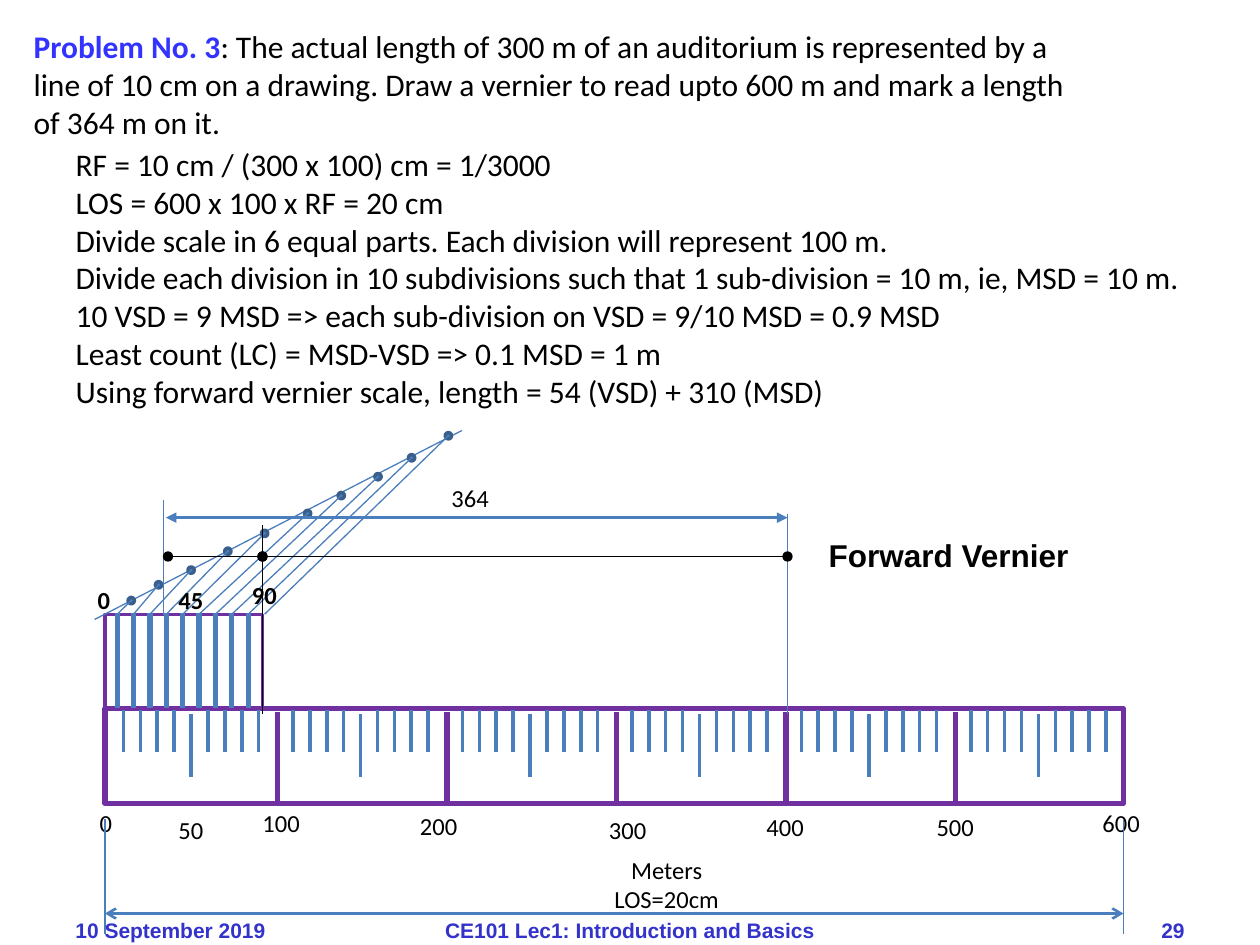
from lxml import etree
from pptx import Presentation
from pptx.dml.color import RGBColor
from pptx.enum.shapes import MSO_CONNECTOR, MSO_SHAPE
from pptx.enum.text import MSO_ANCHOR, MSO_AUTO_SIZE, PP_ALIGN
from pptx.oxml.ns import qn
from pptx.util import Inches, Pt

LEFT, CENTER, RIGHT = PP_ALIGN.LEFT, PP_ALIGN.CENTER, PP_ALIGN.RIGHT
TOP, MIDDLE = MSO_ANCHOR.TOP, MSO_ANCHOR.MIDDLE
RECT, OVAL = MSO_SHAPE.RECTANGLE, MSO_SHAPE.OVAL
STRAIGHT = MSO_CONNECTOR.STRAIGHT
BLUE, PURPLE, BLACK = "4B7EBC", "7030A0", "000000"

# Grid of 120 columns by 90 rows; the main scale runs from column 10 to 107
COLS, ROWS = 120, 90
SCALE_L, SCALE_R, SCALE_T, SCALE_H = 10, 107, 67.5, 9
VERNIER_R, VERNIER_T = 25, 58.5
DIVISION, SUBDIVISION = 16.14, 1.61
DOTS = [(12.5, 57.2), (15.1, 55.7), (18.2, 54.3), (21.7, 52.5), (25.2, 50.8),
        (29.3, 48.9), (32.5, 47.2), (36, 45.4), (39.2, 43.6), (42.7, 41.5)]
SOLUTION = [
    "RF = 10 cm / (300 x 100) cm = 1/3000",
    "LOS = 600 x 100 x RF = 20 cm",
    "Divide scale in 6 equal parts. Each division will represent 100 m.",
    "Divide each division in 10 subdivisions such that 1 sub-division = 10 m, ie, MSD = 10 m.",
    "10 VSD = 9 MSD => each sub-division on VSD = 9/10 MSD = 0.9 MSD",
    "Least count (LC) = MSD-VSD => 0.1 MSD = 1 m",
    "Using forward vernier scale, length = 54 (VSD) + 310 (MSD)",
]


def color(value):
    return RGBColor.from_string(value)


def grid(*units):
    return [Inches(u * 10 / COLS) for u in units]


def line(s, x1, y1, x2, y2, width=0.75, stroke=BLUE, ends=None):
    c = s.shapes.add_connector(STRAIGHT, *grid(x1, y1, x2, y2))
    c.line.color.rgb = color(stroke)
    c.line.width = Pt(width)
    if ends:
        ln = c.line._get_or_add_ln()
        for tag in ("a:headEnd", "a:tailEnd"):
            etree.SubElement(ln, qn(tag), type=ends)
    etree.SubElement(c._element.spPr, qn("a:effectLst"))


def shape(s, kind, x, y, w, h, stroke, width, fill=None):
    sp = s.shapes.add_shape(kind, *grid(x, y, w, h))
    sp.shadow.inherit = False
    sp.line.color.rgb = color(stroke)
    sp.line.width = Pt(width)
    if fill:
        sp.fill.solid()
        sp.fill.fore_color.rgb = color(fill)
    else:
        sp.fill.background()


def format_font(run, size, name="Calibri", fill=BLACK, bold=False):
    run.font.size, run.font.name, run.font.bold = Pt(size), name, bold
    run.font.color.rgb = color(fill)


def text(s, value, x, y, w, h, size=14, align=LEFT, anchor=TOP,
         inset=0, wrap=True, **font):
    tf = s.shapes.add_textbox(*grid(x, y, w, h)).text_frame
    tf.word_wrap, tf.vertical_anchor = wrap, anchor
    if inset == 0:
        tf.margin_left = tf.margin_right = tf.margin_top = tf.margin_bottom = 0
    tf.text = value
    for p in tf.paragraphs:
        p.alignment = align
        for r in p.runs:
            format_font(r, size, **font)


def place(sp, x, y, w, h):
    sp.left, sp.top, sp.width, sp.height = grid(x, y, w, h)
    tf = sp.text_frame
    tf.word_wrap, tf.vertical_anchor = True, TOP
    tf.auto_size = MSO_AUTO_SIZE.NONE
    return tf


def problem(s):
    p = place(s.shapes.title, 2, 2, 103, 12.1).paragraphs[0]
    p.alignment = LEFT
    p.text = "Problem No. 3"
    format_font(p.runs[0], 18, fill="3333FF", bold=True)
    r = p.add_run()
    r.text = (": The actual length of 300 m of an auditorium is represented by a line of "
              "10 cm on a drawing. Draw a vernier to read upto 600 m and mark a length "
              "of 364 m on it.")
    format_font(r, 18)


def solution(s):
    tf = place(s.placeholders[1], 6, 13.2, 110, 26.6)
    tf.text = "\n".join(SOLUTION)
    for p in tf.paragraphs:
        pPr = p._p.get_or_add_pPr()
        pPr.set("marL", "0")
        pPr.set("indent", "0")
        etree.SubElement(pPr, qn("a:buNone"))
        p.space_before = Pt(0)
        format_font(p.runs[0], 18)


def main_scale(s):
    shape(s, RECT, SCALE_L, SCALE_T, SCALE_R - SCALE_L, SCALE_H, PURPLE, 3)
    for d in range(6):
        if d:
            x = 10.3 + d * DIVISION
            line(s, x, 67.8, x, 76.7, 3, PURPLE)
        for i in range(9):
            x = 11.76 + d * DIVISION + i * SUBDIVISION
            top, bottom = (68, 74) if i == 4 else (67.6, 71.6)
            line(s, x, top, x, bottom, 2)
    for value, x, y in [("0", 9.5, 77), ("50", 17, 77.6), ("100", 25, 77),
                        ("200", 40, 77.2), ("300", 58, 77.6), ("400", 73, 77.3),
                        ("500", 89.2, 77.3), ("600", 105, 77)]:
        text(s, value, x, y, 5, 2.8)


def vernier(s):
    shape(s, RECT, SCALE_L, VERNIER_T, VERNIER_R - SCALE_L, SCALE_H, PURPLE, 2)
    # Inclined line with ten points, each projected to the vernier
    line(s, 9, 59, 44, 41)
    for i, (x, y) in enumerate(DOTS):
        foot = 11.16 + i * 1.56
        if i < 9:
            line(s, foot, 58.4, foot, 67.4, 3)
        shape(s, OVAL, x - 0.3, y - 0.3, 0.6, 0.6, "3A5F8C", 2, "4F81BD")
        line(s, x, y, foot, VERNIER_T)
    for value, x, y in [("0", 9.3, 55.7), ("45", 17, 55.7), ("90", 24, 55.2)]:
        text(s, value, x, y, 5, 2.8, bold=True)


def dimensions(s):
    # Length of 364 m
    line(s, 15.6, 58.6, 15.6, 47.6)
    line(s, 75, 68, 75, 49)
    line(s, 15.8, 49.3, 75, 49.3, 2, ends="triangle")
    text(s, "364", 43, 46, 5, 2.8)
    line(s, VERNIER_R, 68, VERNIER_R, 50, stroke=BLACK)
    for end in (16, 75):
        line(s, VERNIER_R, 53, end, 53, stroke=BLACK, ends="oval")
    text(s, "Forward Vernier", 77.6, 50.5, 25.5, 4.8, 18, CENTER, inset=1,
         wrap=False, name="Arial", bold=True)
    # Length of scale
    line(s, SCALE_L, 87, SCALE_R, 87, 1.5, ends="arrow")
    for x in (SCALE_L, SCALE_R):
        line(s, x, 78, x, 89)
    text(s, "Meters\nLOS=20cm", 55, 81.4, 17, 5.6, align=CENTER)


def footer(s):
    for value, x, w, align in [("10 September 2019", 6, 28, LEFT),
                               ("CE101 Lec1: Introduction and Basics", 37, 46, CENTER),
                               ("29", 86, 28, RIGHT)]:
        text(s, value, x, 86.2, w, 4.8, 12, align, MIDDLE, inset=1,
             name="Arial", fill="3333CC", bold=True)


def main():
    prs = Presentation()
    prs.slide_width, prs.slide_height = grid(COLS, ROWS)
    s = prs.slides.add_slide(prs.slide_layouts[1])
    problem(s)
    solution(s)
    main_scale(s)
    vernier(s)
    dimensions(s)
    footer(s)
    prs.save("out.pptx")


if __name__ == "__main__":
    main()
